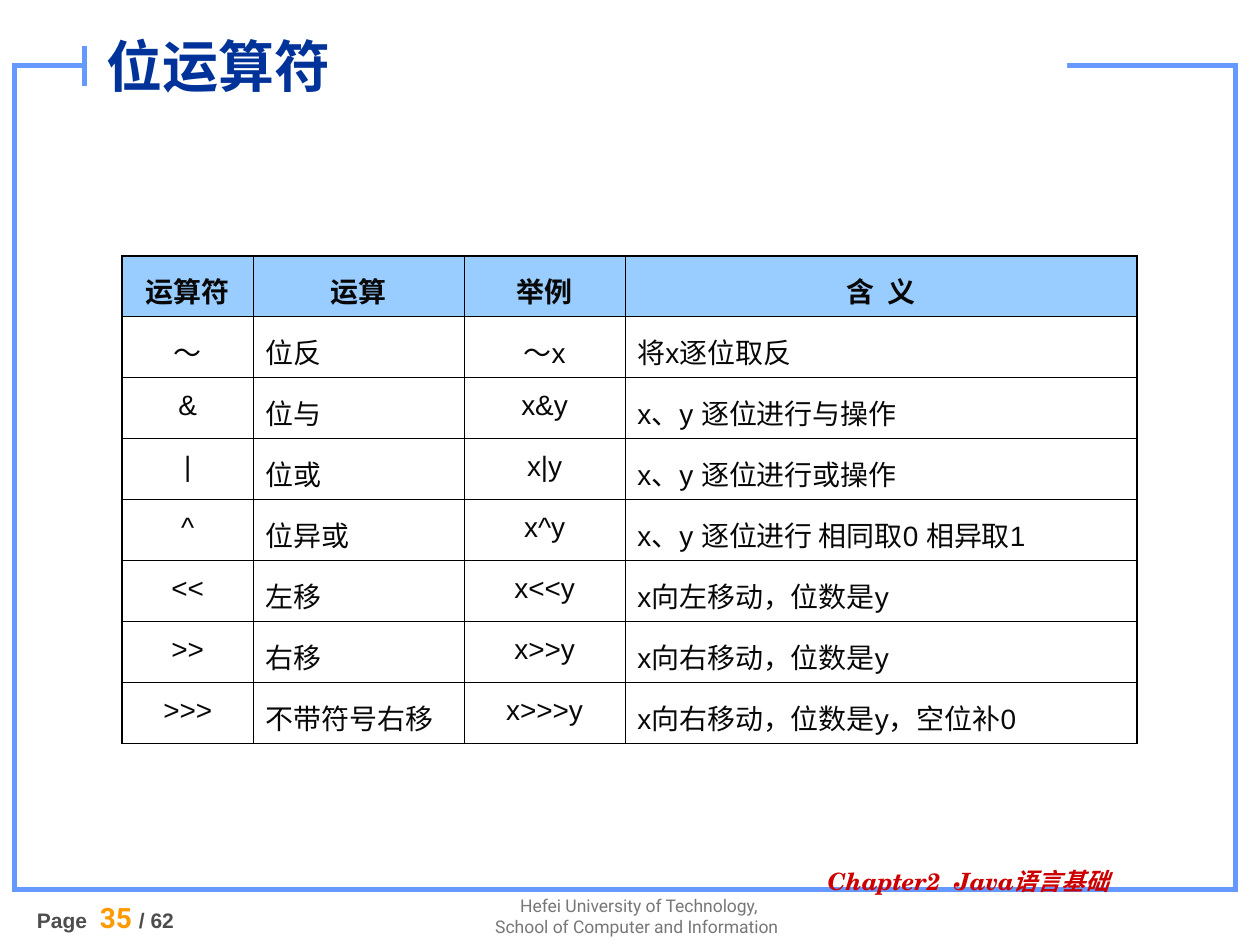
from lxml.etree import SubElement
from pptx import Presentation
from pptx.dml.color import RGBColor
from pptx.enum.shapes import MSO_CONNECTOR, MSO_SHAPE
from pptx.enum.text import MSO_ANCHOR, PP_ALIGN
from pptx.oxml.ns import qn
from pptx.util import Inches, Pt

FRAME_BLUE = RGBColor(0x66, 0x99, 0xFF)
TITLE_BLUE = RGBColor(0x00, 0x33, 0x99)
HEADER_BLUE = RGBColor(0x99, 0xCC, 0xFF)
WHITE = RGBColor(0xFF, 0xFF, 0xFF)
INK = RGBColor(0x08, 0x08, 0x08)
GREY = RGBColor(0x77, 0x77, 0x77)
DARK_GREY = RGBColor(0x4D, 0x4D, 0x4D)
ORANGE = RGBColor(0xFF, 0x99, 0x00)
RED = RGBColor(0xCC, 0x00, 0x00)

presentation = Presentation()
presentation.slide_width, presentation.slide_height = Inches(10), Inches(7.5)
slide = presentation.slides.add_slide(presentation.slide_layouts[6])
shapes = slide.shapes

# Grid of 100 columns by 75 rows
COLUMN = presentation.slide_width / 100
ROW = presentation.slide_height / 75


def place(left, top, width, height):
    return (int(left * COLUMN), int(top * ROW),
            int(width * COLUMN), int(height * ROW))


def add_run(paragraph, text, size, font, color, bold=False, italic=False):
    run = paragraph.add_run()
    run.text = text
    run.font.size, run.font.name = Pt(size), font
    run.font.bold, run.font.italic = bold, italic
    run.font.color.rgb = color


# Frame with square corners, and a white gap at the top for the title
frame = shapes.add_shape(MSO_SHAPE.RECTANGLE, *place(1.15, 5.2, 96.9, 65.4))
frame.fill.background()
frame.line.color.rgb = FRAME_BLUE
frame.line.width = Pt(3)
SubElement(frame.line._get_or_add_ln(), qn("a:miter"), lim="800000")
gap = shapes.add_shape(MSO_SHAPE.RECTANGLE, *place(6.7, 2.8, 78, 3.5))
gap.fill.solid()
gap.fill.fore_color.rgb = WHITE
gap.line.fill.background()
for shape in (frame, gap):
    shape.shadow.inherit = False

# Tick at the end of the frame
tick = shapes.add_connector(MSO_CONNECTOR.STRAIGHT, *place(6.7, 3.65, 6.7, 6.8))
tick.line.color.rgb = FRAME_BLUE
tick.line.width = Pt(3)
SubElement(tick._element.spPr, qn("a:effectLst"))

# Title, chapter and footer: place, anchor, alignment, space before,
# line spacing, paragraphs made of runs
TOP, MIDDLE = MSO_ANCHOR.TOP, MSO_ANCHOR.MIDDLE
LEFT, CENTER = PP_ALIGN.LEFT, PP_ALIGN.CENTER
text_boxes = [
    (place(38, 70.5, 25.4, 4.5), TOP, CENTER, 0, 1, [
        [("Hefei University of Technology,", 10, "Roboto", GREY)],
        [("School of Computer and Information ", 10, "Roboto", GREY)]]),
    (place(1.95, 70.95, 18.1, 4.05), TOP, LEFT, 7.5, 1, [
        [("Page ", 12, "Arial", DARK_GREY, True),
         (" ", 16, "Roboto", ORANGE),
         ("35 ", 16, "Roboto", ORANGE, True),
         ("/ 62", 12, "Arial", DARK_GREY, True)]]),
    (place(64.7, 68.55, 30.7, 3.5), TOP, LEFT, 0, 0.9, [
        [("Chapter2  Java语言基础", 13.6, "TeX Gyre Schola", RED, True, True)]]),
    (place(7.5, 1.2, 67.7, 8), MIDDLE, LEFT, 0, 1, [
        [("位运算符", 32, "Arial", TITLE_BLUE, True)]]),
]
for position, anchor, alignment, before, spacing, paragraphs in text_boxes:
    frame_text = shapes.add_textbox(*position).text_frame
    frame_text.word_wrap = True
    frame_text.vertical_anchor = anchor
    for index, runs in enumerate(paragraphs):
        paragraph = (frame_text.add_paragraph() if index
                     else frame_text.paragraphs[0])
        paragraph.alignment = alignment
        paragraph.space_before = Pt(before)
        paragraph.line_spacing = spacing
        for run in runs:
            add_run(paragraph, *run)

# Table of bitwise operators
operators = [
    ("运算符", "运算", "举例", "含  义"),
    ("～", "位反", "～x", "将x逐位取反"),
    ("&", "位与", "x&y", "x、y 逐位进行与操作"),
    ("|", "位或", "x|y", "x、y 逐位进行或操作"),
    ("^", "位异或", "x^y", "x、y 逐位进行 相同取0 相异取1"),
    ("<<", "左移", "x<<y", "x向左移动，位数是y"),
    (">>", "右移", "x>>y", "x向右移动，位数是y"),
    (">>>", "不带符号右移", "x>>>y", "x向右移动，位数是y，空位补0"),
]
column_widths = [10.4, 16.75, 12.75, 40.65]
row_height = 4.84
last_row, last_column = len(operators) - 1, len(column_widths) - 1
table = shapes.add_table(
    len(operators), len(column_widths),
    *place(9.7, 20.3, sum(column_widths), row_height * len(operators))).table
for column, width in zip(table.columns, column_widths):
    column.width = int(width * COLUMN)

for row_index, row in enumerate(operators):
    for column_index, text in enumerate(row):
        cell = table.cell(row_index, column_index)
        header = row_index == 0

        # Thick outer border, thin inner lines
        outer_edges = {"a:lnL": column_index == 0,
                       "a:lnR": column_index == last_column,
                       "a:lnT": header,
                       "a:lnB": row_index == last_row}
        properties = cell._tc.get_or_add_tcPr()
        for tag, outer in outer_edges.items():
            border = SubElement(properties, qn(tag),
                                w=str(int(Pt(1.08 if outer else 0.45))))
            fill = SubElement(border, qn("a:solidFill"))
            SubElement(fill, qn("a:srgbClr"), val="000000")

        if header:
            cell.fill.solid()
            cell.fill.fore_color.rgb = HEADER_BLUE
        else:
            cell.fill.background()

        paragraph = cell.text_frame.paragraphs[0]
        centered = header or column_index in (0, 2)
        paragraph.alignment = CENTER if centered else LEFT
        paragraph.line_spacing = 1.2
        paragraph.space_before = Pt(4)
        add_run(paragraph, text, 16, "Arial", INK, bold=header)

presentation.save("out.pptx")
